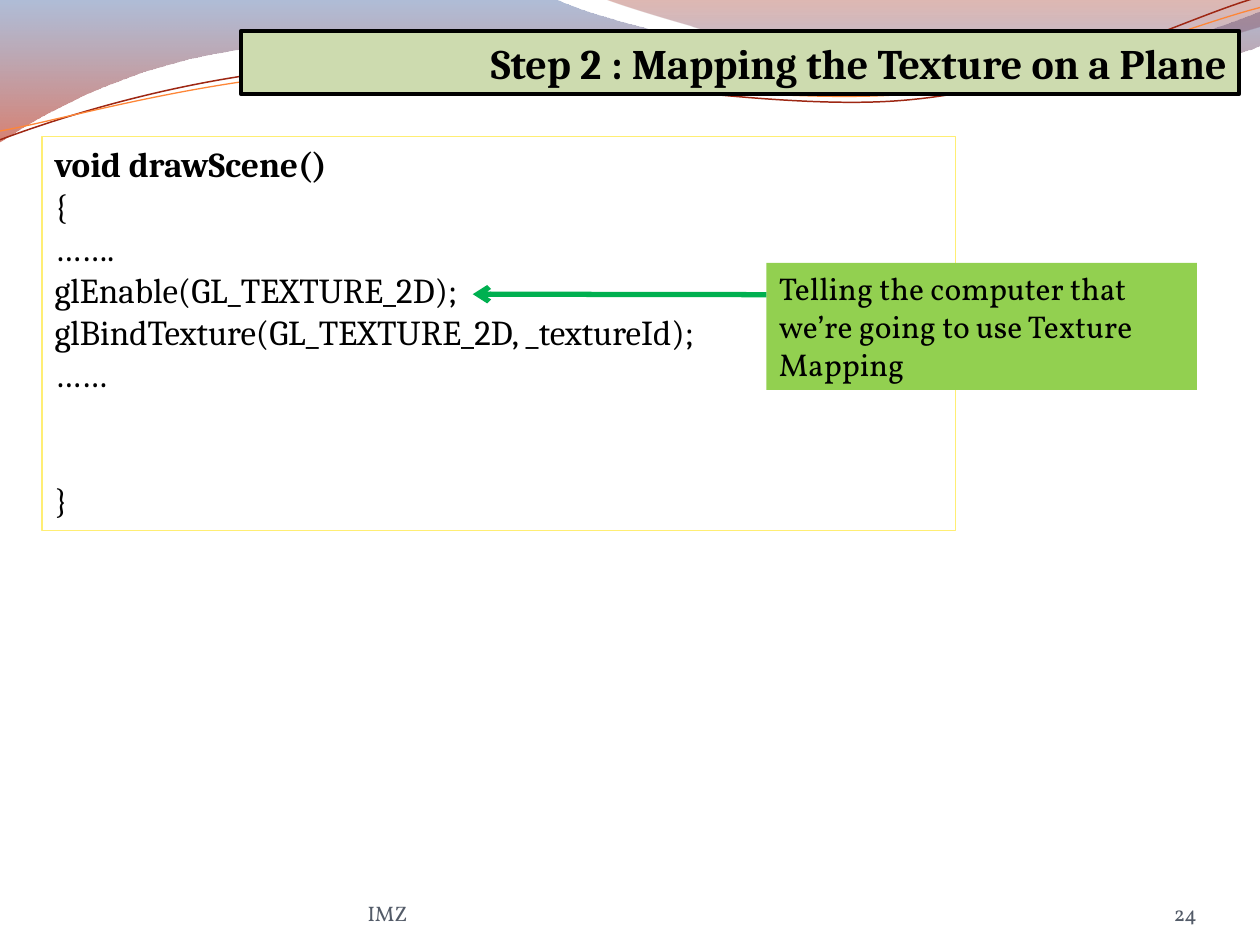
from dataclasses import dataclass
from lxml.etree import SubElement
from pptx import Presentation
from pptx.dml.color import RGBColor
from pptx.enum.shapes import MSO_CONNECTOR, MSO_SHAPE
from pptx.enum.text import MSO_ANCHOR, MSO_AUTO_SIZE, PP_ALIGN
from pptx.oxml.ns import qn
from pptx.util import Cm, Pt


@dataclass(frozen=True)
class Theme:
    ink: str = "000000"
    muted: str = "535B68"
    title_fill: str = "CDDBAF"
    code_line: str = "FFEE74"
    callout: str = "92D050"
    arrow: str = "00B050"
    wave_wide: tuple = (("4F6EA8", 0, 45), ("B61A00", 1, 55))
    wave_right: tuple = (("951500", 0, 30), ("5681D1", 0.8, 45))
    stroke_red: str = "9E2713"
    stroke_orange: str = "FE8637"
    serif: str = "Cambria"
    body: str = "Vollkorn"
    title_size: int = 24
    code_size: int = 20
    callout_size: int = 18
    footer_size: int = 12


def add_wave(s, segments, closed):
    pts = [(Cm(seg[i] * 2.54), Cm(seg[i + 1] * 2.54))
           for seg in segments for i in range(0, len(seg), 2)]
    fb = s.shapes.build_freeform(*pts[0])
    fb.add_line_segments(pts[1:], close=closed)
    sp = fb.convert_to_shape()
    sp.shadow.inherit = False
    lines = iter(list(sp.element.iter(qn("a:lnTo"))))
    for seg in segments[1:]:
        first = next(lines)
        if len(seg) == 6:
            first.tag = qn("a:cubicBezTo")
            for extra in (next(lines), next(lines)):
                first.append(extra[0])
                extra.getparent().remove(extra)
    return sp


def add_lines(sp, lines, font, size, color, bold_first=False, align=PP_ALIGN.LEFT, anchor=MSO_ANCHOR.TOP):
    tf = sp.text_frame
    tf.word_wrap = True
    tf.auto_size = MSO_AUTO_SIZE.NONE
    tf.vertical_anchor = anchor
    for i, line in enumerate(lines):
        p = tf.paragraphs[0] if i == 0 else tf.add_paragraph()
        p.alignment = align
        r = p.add_run()
        r.text = line
        r.font.name = font
        r.font.size = Pt(size)
        r.font.bold = bold_first and i == 0
        r.font.color.rgb = RGBColor.from_string(color)
    return tf


theme = Theme()
prs = Presentation()
prs.slide_width, prs.slide_height = Cm(25.4), Cm(19.05)
s = prs.slides.add_slide(prs.slide_layouts[5])

wide = [(0, 0), (4.4, -0.01), (4.76, 0.17, 6.64, 0.63, 7.58, 0.63),
        (8.53, 0.63, 9.58, 0.26, 10, 0.09), (10.01, 0.36),
        (9.83, 0.44, 8.7, 0.76, 7.46, 0.75), (6.22, 0.75, 3.82, 0.28, 2.57, 0.34),
        (1.29, 0.36, 0.46, 0.83, -0.01, 1.13), (0, 0)]
right = [(4.79, -0.01), (5.09, 0.11, 6.82, 0.62, 7.69, 0.65),
         (8.56, 0.69, 9.61, 0.32, 10, 0.21), (10, 0), (4.79, -0.01)]
for segments, stops in ((wide, theme.wave_wide), (right, theme.wave_right)):
    sp = add_wave(s, segments, True)
    sp.line.fill.background()
    sp.fill.gradient()
    sp.fill.gradient_angle = 270
    for stop, (color, position, alpha) in zip(sp.fill.gradient_stops, stops):
        stop.color.rgb = RGBColor.from_string(color)
        stop.position = position
    for clr, (color, position, alpha) in zip(sp.element.spPr.iter(qn("a:srgbClr")), stops):
        SubElement(clr, qn("a:alpha"), val=str(alpha * 1000))

red = [(0, 1.11), (0.48, 0.93, 1.58, 0.57, 2.77, 0.52),
       (3.95, 0.47, 5.93, 0.89, 7.13, 0.8), (8.33, 0.71, 9.38, 0.15, 9.98, -0.02)]
orange = [(0, 1.04), (0.47, 0.96, 1.64, 0.61, 2.83, 0.56),
          (4.03, 0.51, 5.97, 0.84, 7.17, 0.75), (8.36, 0.67, 9.41, 0.21, 10, 0.06)]
for segments, color, width in ((red, theme.stroke_red, 0.85), (orange, theme.stroke_orange, 0.75)):
    sp = add_wave(s, segments, False)
    sp.fill.background()
    sp.line.color.rgb = RGBColor.from_string(color)
    sp.line.width = Pt(width)

title = s.shapes.title
title.element.getparent().append(title.element)
title.left, title.top, title.width, title.height = Cm(4.86), Cm(0.62), Cm(20.12), Cm(1.28)
title.fill.solid()
title.fill.fore_color.rgb = RGBColor.from_string(theme.title_fill)
title.line.color.rgb = RGBColor.from_string(theme.ink)
title.line.width = Pt(2.25)
add_lines(title, ["Step 2 : Mapping the Texture on a Plane"], theme.serif, theme.title_size,
          theme.ink, True, PP_ALIGN.RIGHT)

code = s.shapes.add_shape(MSO_SHAPE.RECTANGLE, Cm(0.85), Cm(2.75), Cm(18.41), Cm(7.94))
code.shadow.inherit = False
code.fill.background()
code.line.color.rgb = RGBColor.from_string(theme.code_line)
code.line.width = Pt(0.75)
tf = add_lines(code, ["void drawScene()", "{", "…….", "glEnable(GL_TEXTURE_2D);",
                      "glBindTexture(GL_TEXTURE_2D, _textureId);", "……", "}"],
               theme.serif, theme.code_size, theme.ink, True)
tf.paragraphs[-1].space_before = Pt(48)

callout = s.shapes.add_shape(MSO_SHAPE.RECTANGLE, Cm(15.45), Cm(5.3), Cm(8.68), Cm(2.56))
callout.shadow.inherit = False
callout.fill.solid()
callout.fill.fore_color.rgb = RGBColor.from_string(theme.callout)
callout.line.fill.background()
add_lines(callout, ["Telling the computer that we’re going to use Texture Mapping"],
          theme.body, theme.callout_size, theme.ink)

arrow = s.shapes.add_connector(MSO_CONNECTOR.STRAIGHT, Cm(15.45), Cm(5.94), Cm(9.53), Cm(5.93))
arrow.line.color.rgb = RGBColor.from_string(theme.arrow)
arrow.line.width = Pt(3)
SubElement(arrow.element.spPr.find(qn("a:ln")), qn("a:tailEnd"), type="arrow")
SubElement(arrow.element.spPr, qn("a:effectLst"))

for text, left, width, align in (("24", 22.01, 2.12, PP_ALIGN.RIGHT),
                                 ("IMZ", 7.41, 9.31, PP_ALIGN.LEFT)):
    sp = s.shapes.add_textbox(Cm(left), Cm(17.65), Cm(width), Cm(1.01))
    tf = add_lines(sp, [text], theme.body, theme.footer_size, theme.muted,
                   align=align, anchor=MSO_ANCHOR.BOTTOM)
    tf.margin_left = tf.margin_right = tf.margin_top = tf.margin_bottom = 0

prs.save("out.pptx")
